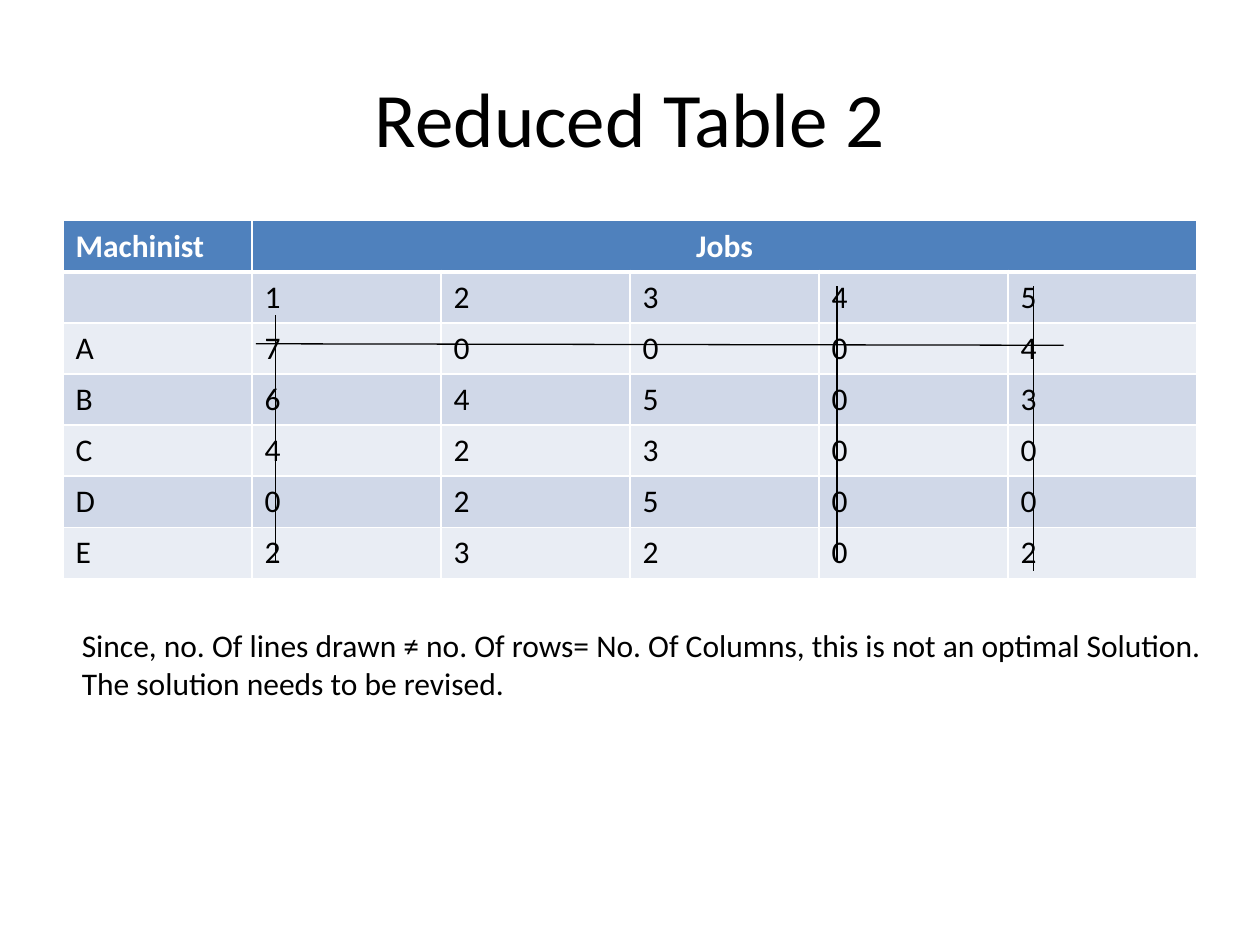
from lxml import etree
from pptx import Presentation
from pptx.dml.color import RGBColor
from pptx.enum.shapes import MSO_CONNECTOR
from pptx.enum.text import MSO_ANCHOR, PP_ALIGN
from pptx.oxml import parse_xml
from pptx.oxml.ns import nsdecls, qn
from pptx.util import Cm, Pt


def color(value):
    return RGBColor.from_string(value)


def write(frame, text, size=18, fill="000000", bold=False, align=PP_ALIGN.LEFT):
    frame.word_wrap = True
    paragraph = frame.paragraphs[0]
    paragraph.alignment = align
    run = paragraph.add_run()
    run.text = text
    run.font.name = "Calibri"
    run.font.size = Pt(size)
    run.font.bold = bold
    run.font.color.rgb = color(fill)


presentation = Presentation()
presentation.slide_width = Cm(25.4)
presentation.slide_height = Cm(19.05)
slide = presentation.slides.add_slide(presentation.slide_layouts[6])

# Title
title = slide.shapes.add_textbox(Cm(1.27), Cm(0.76), Cm(22.86), Cm(3.18))
title.text_frame.vertical_anchor = MSO_ANCHOR.MIDDLE
write(title.text_frame, "Reduced Table 2", size=44, align=PP_ALIGN.CENTER)

# Table of machinists and jobs
rows = [
    ["Machinist", "Jobs", "", "", "", ""],
    ["", "1", "2", "3", "4", "5"],
    ["A", "7", "0", "0", "0", "4"],
    ["B", "6", "4", "5", "0", "3"],
    ["C", "4", "2", "3", "0", "0"],
    ["D", "0", "2", "5", "0", "0"],
    ["E", "2", "3", "2", "0", "2"],
]
table = slide.shapes.add_table(
    len(rows), len(rows[0]), Cm(1.27), Cm(4.45), Cm(22.86), Cm(7.21)
).table
for column in table.columns:
    column.width = Cm(3.81)
for row in table.rows:
    row.height = Cm(1.03)
table.cell(0, 1).merge(table.cell(0, 5))

for row_index, values in enumerate(rows):
    header = row_index == 0
    band = "4F81BD" if header else ("D0D8E8" if row_index % 2 else "E9EDF4")
    for column_index, text in enumerate(values):
        cell = table.cell(row_index, column_index)
        # White borders, thicker on both sides of the header's lower edge
        properties = cell._tc.get_or_add_tcPr()
        for side in ("L", "R", "T", "B"):
            thick = (row_index, side) in ((0, "B"), (1, "T"))
            properties.append(parse_xml(
                f'<a:ln{side} {nsdecls("a")} w="{Pt(3 if thick else 1)}">'
                '<a:solidFill><a:srgbClr val="FFFFFF"/></a:solidFill>'
                f'</a:ln{side}>'
            ))
        cell.fill.solid()
        cell.fill.fore_color.rgb = color(band)
        if text:
            write(
                cell.text_frame, text, bold=header,
                fill="FFFFFF" if header else "000000",
                align=PP_ALIGN.CENTER if text == "Jobs" else PP_ALIGN.LEFT,
            )

# Lines covering the zeros
covering_lines = [
    (16.87, 5.77, 16.87, 11.3),
    (20.83, 5.77, 20.83, 11.51),
    (5.16, 6.93, 21.44, 6.96),
    (5.56, 6.35, 5.56, 11.3),
]
for ends in covering_lines:
    line = slide.shapes.add_connector(
        MSO_CONNECTOR.STRAIGHT, *(Cm(value) for value in ends)
    )
    line.line.color.rgb = color("000000")
    line.line.width = Pt(0.75)
    etree.SubElement(line._element.spPr, qn("a:effectLst"))

# Conclusion
conclusion = slide.shapes.add_textbox(Cm(1.4), Cm(12.5), Cm(24), Cm(1.8))
write(
    conclusion.text_frame,
    "Since, no. Of lines drawn ≠ no. Of rows= No. Of Columns, "
    "this is not an optimal Solution. The solution needs to be revised.",
)

presentation.save("out.pptx")
